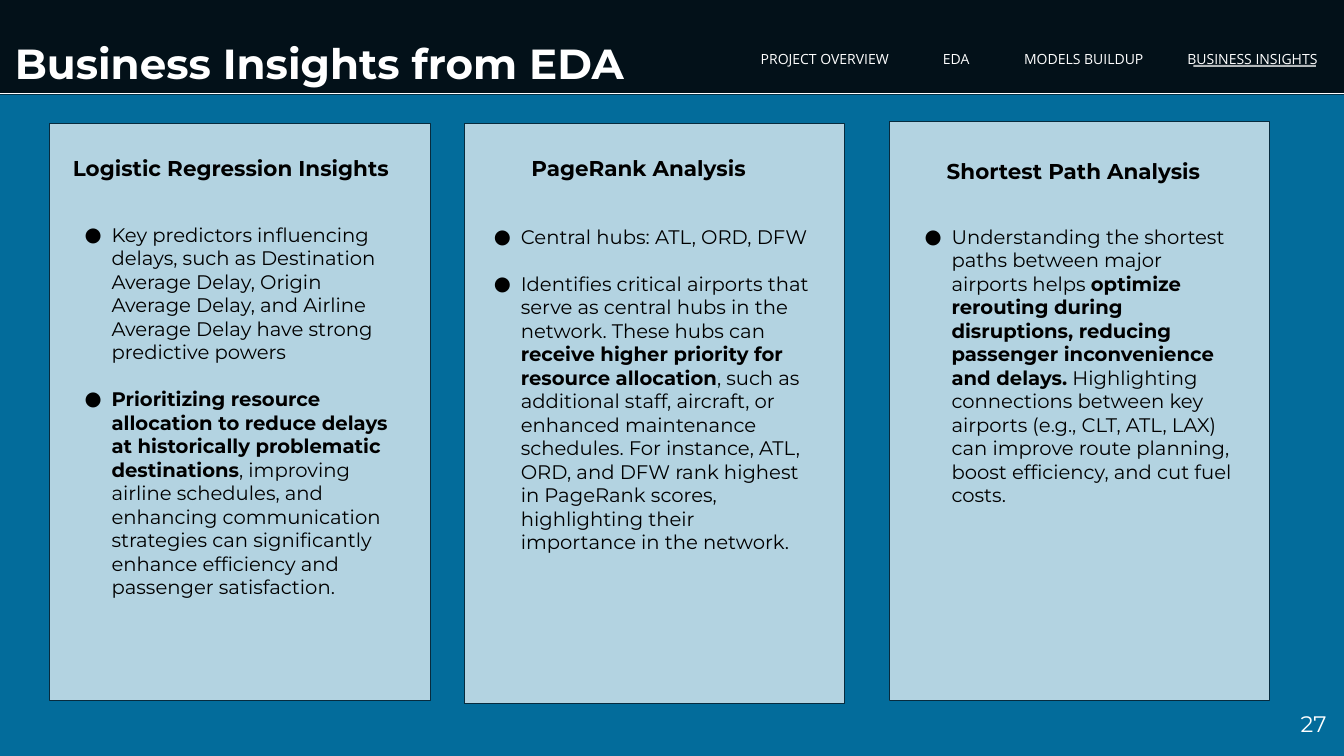
from collections import namedtuple

from lxml import etree
from pptx import Presentation
from pptx import util as u
from pptx.dml.color import RGBColor
from pptx.enum import shapes, text
from pptx.oxml.ns import qn

COLORS = {"night": "031119", "ocean": "036C9B", "white": "FFFFFF",
          "edge": "072B3E", "black": "000000"}
Box = namedtuple("Box", "left top width height")
SLIDE = Box(0, 0, 20, 11.25)
COMPARISON_LAYOUT = 3 + 1
NAVIGATION = ["PROJECT OVERVIEW", "EDA", "MODELS BUILDUP", "BUSINESS INSIGHTS"]
NAVIGATION_TABS = [2.71, 3.92, 6.35]

# Boxes are percentages: cards of the slide, headings and lists of their card.
# In the lists, every second piece of a bullet is bold.
CARDS = [
    {"box": (3.7, 16.36, 28.3, 76.27),
     "heading": "Logistic Regression Insights", "heading_box": (4.35, 3.61, 88.7, 6.88),
     "list_box": (5.65, 15.97, 88.7, 68.3),
     "bullets": [
         ["Key predictors influencing delays, such as Destination Average Delay, "
          "Origin Average Delay, and Airline Average Delay have strong predictive powers"],
         ["", "Prioritizing resource allocation to reduce delays at historically "
          "problematic destinations",
          ", improving airline schedules, and enhancing communication strategies can "
          "significantly enhance efficiency and passenger satisfaction."]]},
    {"box": (34.55, 16.36, 28.3, 76.62),
     "heading": "PageRank Analysis", "heading_box": (15.9, 3.6, 88.7, 6.84),
     "list_box": (4.24, 16.24, 88.7, 63.81),
     "bullets": [
         ["Central hubs: ATL, ORD, DFW"],
         ["Identifies critical airports that serve as central hubs in the network. "
          "These hubs can ",
          "receive higher priority for resource allocation",
          ", such as additional staff, aircraft, or enhanced maintenance schedules. "
          "For instance, ATL, ORD, and DFW rank highest in PageRank scores, "
          "highlighting their importance in the network."]]},
    {"box": (66.15, 16.09, 28.3, 76.62),
     "heading": "Shortest Path Analysis", "heading_box": (13.43, 4.41, 88.7, 6.84),
     "list_box": (5.83, 16.59, 88.7, 51.51),
     "bullets": [
         ["Understanding the shortest paths between major airports helps ",
          "optimize rerouting during disruptions, reducing passenger inconvenience "
          "and delays.",
          " Highlighting connections between key airports (e.g., CLT, ATL, LAX) can "
          "improve route planning, boost efficiency, and cut fuel costs."]]},
]


def color(name):
    return RGBColor.from_string(COLORS[name])


def within(parent, left, top, width, height):
    """Turn percentages of a parent box into a box in inches."""
    return Box(parent.left + parent.width * left / 100,
               parent.top + parent.height * top / 100,
               parent.width * width / 100, parent.height * height / 100)


def inches(box):
    return [u.Inches(length) for length in box]


def add_rectangle(slide, box, fill, line=None, opacity=100):
    shape = slide.shapes.add_shape(shapes.MSO_SHAPE.RECTANGLE, *inches(box))
    shape.shadow.inherit = False
    shape.fill.solid()
    shape.fill.fore_color.rgb = color(fill)
    if opacity < 100:
        fill_color = shape._element.spPr.find(qn("a:solidFill"))[0]
        etree.SubElement(fill_color, qn("a:alpha"), val=str(opacity * 1000))
    if line:
        shape.line.color.rgb = color(line)
        shape.line.width = u.Pt(0.75)
    else:
        shape.line.fill.background()


def add_rule(slide, box, width, opacity=100):
    left, top, length, _ = inches(box)
    connector = slide.shapes.add_connector(
        shapes.MSO_CONNECTOR.STRAIGHT, left, top, left + length, top)
    connector.line.color.rgb = color("white")
    connector.line.width = u.Pt(width)
    if opacity < 100:
        line_color = connector.line._ln.find(qn("a:solidFill"))[0]
        etree.SubElement(line_color, qn("a:alpha"), val=str(opacity * 1000))
    etree.SubElement(connector._element.spPr, qn("a:effectLst"))


def set_bullet(paragraph):
    properties = paragraph._p.get_or_add_pPr()
    properties.set("marL", str(u.Inches(0.5)))
    properties.set("indent", str(u.Inches(-0.4)))
    bullet_color = etree.SubElement(properties, qn("a:buClr"))
    etree.SubElement(bullet_color, qn("a:srgbClr"), val=COLORS["black"])
    etree.SubElement(properties, qn("a:buFont"), typeface="Montserrat")
    etree.SubElement(properties, qn("a:buChar"), char="●")


def set_tabs(paragraph, positions):
    tabs = etree.SubElement(paragraph._p.get_or_add_pPr(), qn("a:tabLst"))
    for position in positions:
        etree.SubElement(tabs, qn("a:tab"), pos=str(u.Inches(position)), algn="l")


def write(slide, box, paragraphs, placeholder=None, size=21, font="Montserrat",
          ink="black", bold=False, spacing=1.0, gap=0, inset=0, bullets=False,
          tabs=(), align=text.PP_ALIGN.LEFT):
    """Write paragraphs, each a list of pieces that alternate in weight."""
    shape = placeholder or slide.shapes.add_textbox(*inches(box))
    shape.left, shape.top, shape.width, shape.height = inches(box)
    shape._element.getparent().append(shape._element)  # bring to front
    frame = shape.text_frame
    frame.word_wrap = True
    frame.auto_size = text.MSO_AUTO_SIZE.NONE
    frame.vertical_anchor = text.MSO_ANCHOR.TOP
    frame.margin_left = frame.margin_right = u.Inches(inset)
    frame.margin_top = frame.margin_bottom = u.Inches(inset)
    for index, pieces in enumerate(paragraphs):
        paragraph = frame.add_paragraph() if index else frame.paragraphs[0]
        if bullets:
            set_bullet(paragraph)
        if tabs:
            set_tabs(paragraph, tabs)
        paragraph.alignment = align
        paragraph.line_spacing = spacing
        paragraph.space_before = u.Pt(gap if index else 0)
        paragraph.space_after = u.Pt(0)
        for number, piece in enumerate(pieces):
            if not piece:
                continue
            run = paragraph.add_run()
            run.text = piece
            run.font.name = font
            run.font.size = u.Pt(size)
            run.font.bold = bold != (number % 2 == 1)
            run.font.color.rgb = color(ink)


def add_header(slide, box):
    """Title, rule and navigation with the current section underlined."""
    write(slide, within(box, 1.1, 3.56, 98.9, 6.76), [["Business Insights from EDA"]],
          placeholder=slide.shapes.title, size=45, ink="white", bold=True, spacing=1.2)
    add_rule(slide, within(box, 0, 12.36, 100, 0), 1.5)
    write(slide, within(box, 56.6, 5.78, 43.4, 2.22), [["\t".join(NAVIGATION)]],
          size=15, font="Open Sans", ink="white", spacing=1.4, tabs=NAVIGATION_TABS)
    add_rule(slide, within(box, 88.8, 8.71, 9.1, 0), 2.25, opacity=70)


def add_card(slide, box, card, placeholder):
    """Pale panel with a heading and a bulleted list."""
    add_rectangle(slide, box, "white", line="edge", opacity=70)
    write(slide, within(box, *card["heading_box"]), [[card["heading"]]],
          size=23, bold=True, spacing=1.15, inset=0.1)
    write(slide, within(box, *card["list_box"]), card["bullets"],
          placeholder=placeholder, gap=25.2, inset=0.1, bullets=True)


def main():
    presentation = Presentation()
    presentation.slide_width = u.Inches(SLIDE.width)
    presentation.slide_height = u.Inches(SLIDE.height)
    slide = presentation.slides.add_slide(presentation.slide_layouts[COMPARISON_LAYOUT])
    slide.background.fill.solid()
    slide.background.fill.fore_color.rgb = color("night")

    # Three body placeholders hold the lists; the fourth is not needed
    _, *bodies, spare = list(slide.placeholders)
    spare._element.getparent().remove(spare._element)

    add_rectangle(slide, within(SLIDE, 0, 12.53, 100, 87.47), "ocean")
    add_header(slide, SLIDE)
    for card, body in zip(CARDS, bodies):
        add_card(slide, within(SLIDE, *card["box"]), card, body)

    # Page number
    write(slide, within(SLIDE, 93.6, 92.36, 6, 7.64), [["27"]], size=24, ink="white",
          inset=0.18, align=text.PP_ALIGN.RIGHT)
    presentation.save("out.pptx")


if __name__ == "__main__":
    main()
